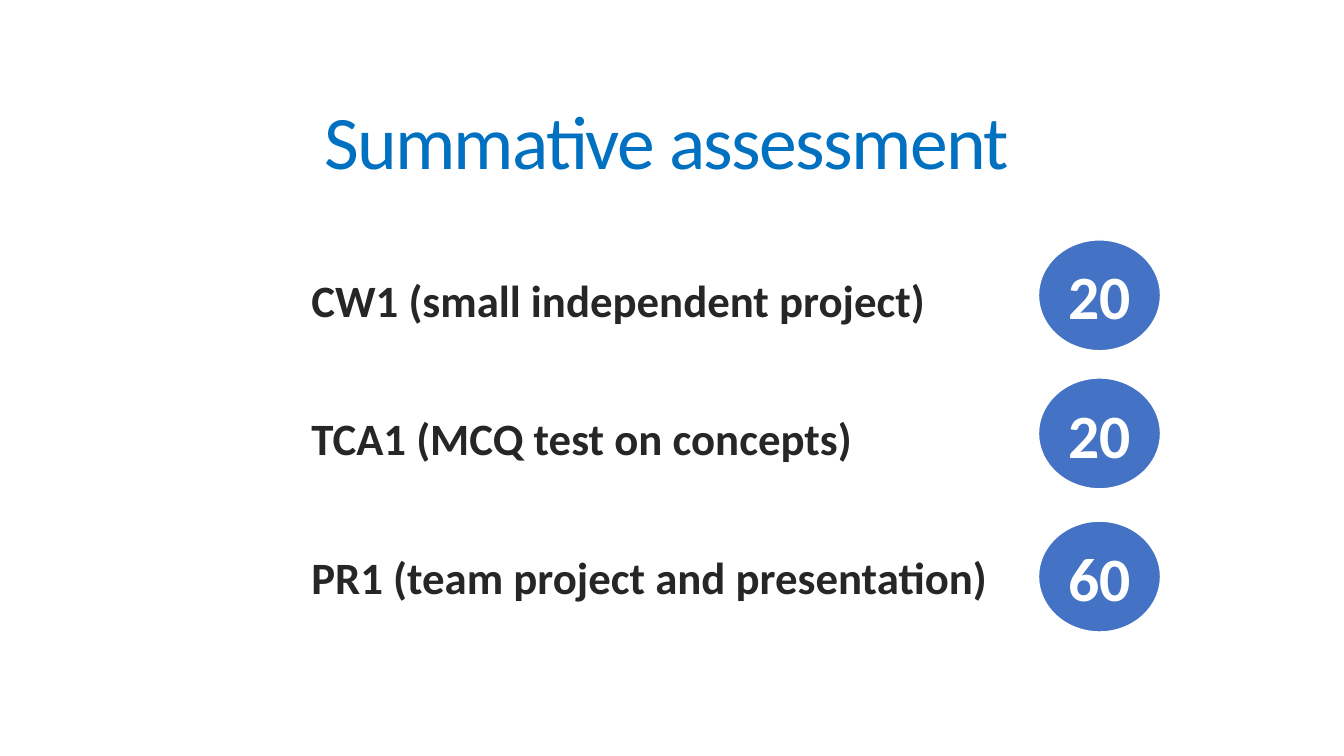
from pptx import Presentation
from pptx.dml.color import RGBColor
from pptx.enum.shapes import MSO_SHAPE
from pptx.enum.text import MSO_ANCHOR, PP_ALIGN
from pptx.util import Inches, Pt

OVAL = MSO_SHAPE.OVAL
MIDDLE = MSO_ANCHOR.MIDDLE
CENTER = PP_ALIGN.CENTER

FONT = "Calibri"
TITLE_BLUE = "0070C0"
CIRCLE_BLUE = "4472C4"
DARK = "262626"
WHITE = "FFFFFF"

TITLE_ONLY_LAYOUT = 5
# Label, weight in percent, top of the circle in inches
ASSESSMENTS = [
    ("CW1 (small independent project)", "20", 2.38),
    ("TCA1 (MCQ test on concepts)", "20", 3.75),
    ("PR1 (team project and presentation)", "60", 5.17),
]


def color(hex_string):
    return RGBColor.from_string(hex_string)


def add_run(paragraph, text, size, hex_color, bold=False):
    run = paragraph.add_run()
    run.text = text
    run.font.name = FONT
    run.font.size = Pt(size)
    run.font.bold = bold
    run.font.color.rgb = color(hex_color)
    return run


def format_title(slide, text):
    title = slide.shapes.title
    title.left, title.top = Inches(0.72), Inches(0.55)
    title.width, title.height = Inches(11.78), Inches(1.81)
    title.text_frame.vertical_anchor = MIDDLE
    paragraph = title.text_frame.paragraphs[0]
    paragraph.alignment = CENTER
    paragraph.line_spacing = 0.85
    run = add_run(paragraph, text, 54, TITLE_BLUE)
    run.font._element.set("spc", "-120")  # character spacing, 1/100 pt


def add_labels(slide, labels):
    box = slide.shapes.add_textbox(
        Inches(2.99), Inches(2.78), Inches(7.04), Inches(3.44))
    frame = box.text_frame
    frame.word_wrap = True
    for index, label in enumerate(labels):
        paragraph = frame.add_paragraph() if index else frame.paragraphs[0]
        paragraph.line_spacing = 0.75
        paragraph.space_before = Pt(70 if index else 0)
        add_run(paragraph, label, 32, DARK, bold=True)


def add_weight_circle(slide, weight, top):
    circle = slide.shapes.add_shape(
        OVAL, Inches(10.3), Inches(top), Inches(1.21), Inches(1.1))
    circle.shadow.inherit = False
    circle.fill.solid()
    circle.fill.fore_color.rgb = color(CIRCLE_BLUE)
    circle.line.color.rgb = color(WHITE)
    circle.line.width = Pt(1)
    circle.text_frame.vertical_anchor = MIDDLE
    paragraph = circle.text_frame.paragraphs[0]
    paragraph.alignment = CENTER
    add_run(paragraph, weight, 44, WHITE, bold=True)


def main():
    presentation = Presentation()
    presentation.slide_width = Inches(13.33)
    presentation.slide_height = Inches(7.5)
    layout = presentation.slide_layouts[TITLE_ONLY_LAYOUT]
    slide = presentation.slides.add_slide(layout)
    format_title(slide, "Summative assessment")
    add_labels(slide, [label for label, _, _ in ASSESSMENTS])
    for _, weight, top in ASSESSMENTS:
        add_weight_circle(slide, weight, top)
    presentation.save("out.pptx")


if __name__ == "__main__":
    main()
